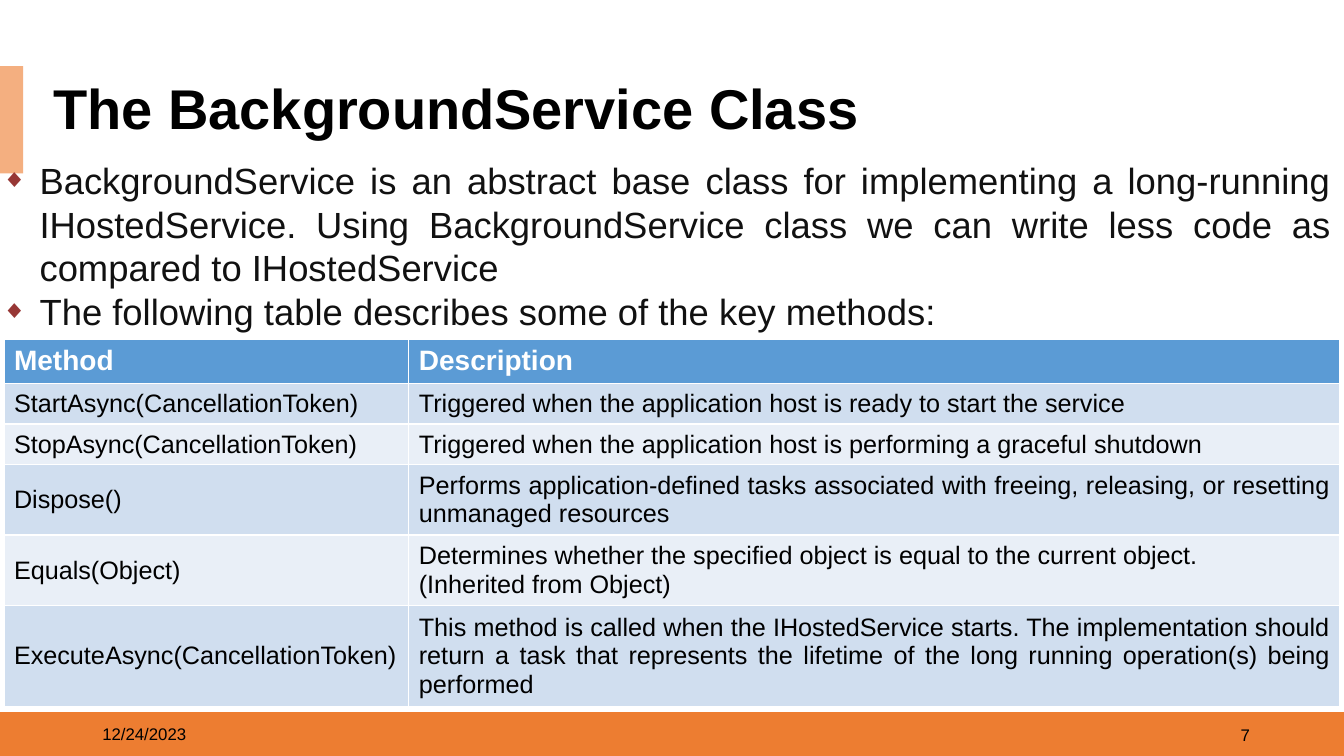
from lxml import etree
from pptx import Presentation
from pptx.dml.color import RGBColor
from pptx.enum.shapes import MSO_SHAPE
from pptx.enum.text import MSO_ANCHOR, PP_ALIGN
from pptx.oxml.ns import qn
from pptx.util import Pt

RECTANGLE = MSO_SHAPE.RECTANGLE
TOP, MIDDLE = MSO_ANCHOR.TOP, MSO_ANCHOR.MIDDLE
LEFT, RIGHT, JUSTIFY = PP_ALIGN.LEFT, PP_ALIGN.RIGHT, PP_ALIGN.JUSTIFY

BLACK = RGBColor(0x00, 0x00, 0x00)
WHITE = RGBColor(0xFF, 0xFF, 0xFF)
BODY_GREY = RGBColor(0x11, 0x11, 0x11)
ORANGE = RGBColor(0xED, 0x7D, 0x31)
PEACH = RGBColor(0xF4, 0xAF, 0x80)
HEADER_BLUE = RGBColor(0x5B, 0x9B, 0xD5)
BAND_DARK = RGBColor(0xD0, 0xDE, 0xEF)
BAND_LIGHT = RGBColor(0xE9, 0xEF, 0xF7)
BULLET_RED = RGBColor(0x97, 0x37, 0x35)


def write(para, text, size, color, align=LEFT, bold=False):
    para.alignment = align
    span = para.add_run()
    span.text = text
    span.font.name = "Arial"
    span.font.size = Pt(size)
    span.font.bold = bold
    span.font.color.rgb = color


def add_box(left, top, width, height, anchor=MIDDLE):
    box = page.shapes.add_textbox(Pt(left), Pt(top), Pt(width), Pt(height))
    box.text_frame.word_wrap = True
    box.text_frame.vertical_anchor = anchor
    return box


deck = Presentation()
deck.slide_width, deck.slide_height = Pt(960), Pt(540)
page = deck.slides.add_slide(deck.slide_layouts[6])

# Footer bar and title accent
for left, top, width, height, color in [
    (0, 508.7, 960, 31.3, ORANGE),
    (0, 47.3, 16.5, 76.5, PEACH),
]:
    bar = page.shapes.add_shape(RECTANGLE, Pt(left), Pt(top), Pt(width), Pt(height))
    bar.shadow.inherit = False
    bar.fill.solid()
    bar.fill.fore_color.rgb = color
    bar.line.fill.background()

# Date and page number
date_box = add_box(66, 510, 216, 28.8)
write(date_box.text_frame.paragraphs[0], "12/24/2023", 12, BLACK)
number_box = add_box(684, 510.5, 216, 28.8)
write(number_box.text_frame.paragraphs[0], "7", 12, BLACK, RIGHT)

# Title
title_box = add_box(31, 56.9, 878.4, 45.4)
title_box.fill.solid()
title_box.fill.fore_color.rgb = WHITE
title_para = title_box.text_frame.paragraphs[0]
title_para.line_spacing = 0.9
write(title_para, "The BackgroundService Class", 40, BLACK, bold=True)

# Bulleted introduction
intro = [
    "BackgroundService is an abstract base class for implementing a long-running "
    "IHostedService. Using BackgroundService class we can write less code as "
    "compared to IHostedService",
    "The following table describes some of the key methods:",
]
intro_frame = add_box(-5.8, 109.5, 964.8, 170.6, TOP).text_frame
for index, text in enumerate(intro):
    para = intro_frame.add_paragraph() if index else intro_frame.paragraphs[0]
    write(para, text, 26, BODY_GREY, JUSTIFY)
    settings = para._p.get_or_add_pPr()
    settings.set("marL", str(Pt(27)))
    settings.set("indent", str(-Pt(27)))
    bullet_color = etree.SubElement(settings, qn("a:buClr"))
    etree.SubElement(bullet_color, qn("a:srgbClr"), val=str(BULLET_RED))
    etree.SubElement(settings, qn("a:buSzPct"), val="70000")
    etree.SubElement(settings, qn("a:buFont"), typeface="Arial")
    etree.SubElement(settings, qn("a:buChar"), char="◆")

# Table of methods: row height, method, description paragraphs
rows = [
    (31.4, "Method", ["Description"]),
    (28.8, "StartAsync(CancellationToken)",
     ["Triggered when the application host is ready to start the service"]),
    (28.8, "StopAsync(CancellationToken)",
     ["Triggered when the application host is performing a graceful shutdown"]),
    (50.4, "Dispose()",
     ["Performs application-defined tasks associated with freeing, releasing, "
      "or resetting unmanaged resources"]),
    (50.4, "Equals(Object)",
     ["Determines whether the specified object is equal to the current object.",
      "(Inherited from Object)"]),
    (71.4, "ExecuteAsync(CancellationToken)",
     ["This method is called when the IHostedService starts. The implementation "
      "should return a task that represents the lifetime of the long running "
      "operation(s) being performed"]),
]
column_widths = [289.2, 665.2]
table = page.shapes.add_table(
    len(rows), 2, Pt(2.8), Pt(242.7),
    Pt(sum(column_widths)), Pt(sum(row[0] for row in rows))).table
for column, width in zip(table.columns, column_widths):
    column.width = Pt(width)

for r, (height, method, description) in enumerate(rows):
    table.rows[r].height = Pt(height)
    header = r == 0
    band = HEADER_BLUE if header else BAND_DARK if r % 2 else BAND_LIGHT
    for c, texts in enumerate([[method], description]):
        cell = table.cell(r, c)
        cell.fill.solid()
        cell.fill.fore_color.rgb = band
        cell.vertical_anchor = TOP if header else MIDDLE
        for index, text in enumerate(texts):
            frame = cell.text_frame
            para = frame.add_paragraph() if index else frame.paragraphs[0]
            write(para, text, 20 if header else 18, WHITE if header else BLACK,
                  JUSTIFY if c and not header else LEFT, bold=header)

deck.save("out.pptx")
